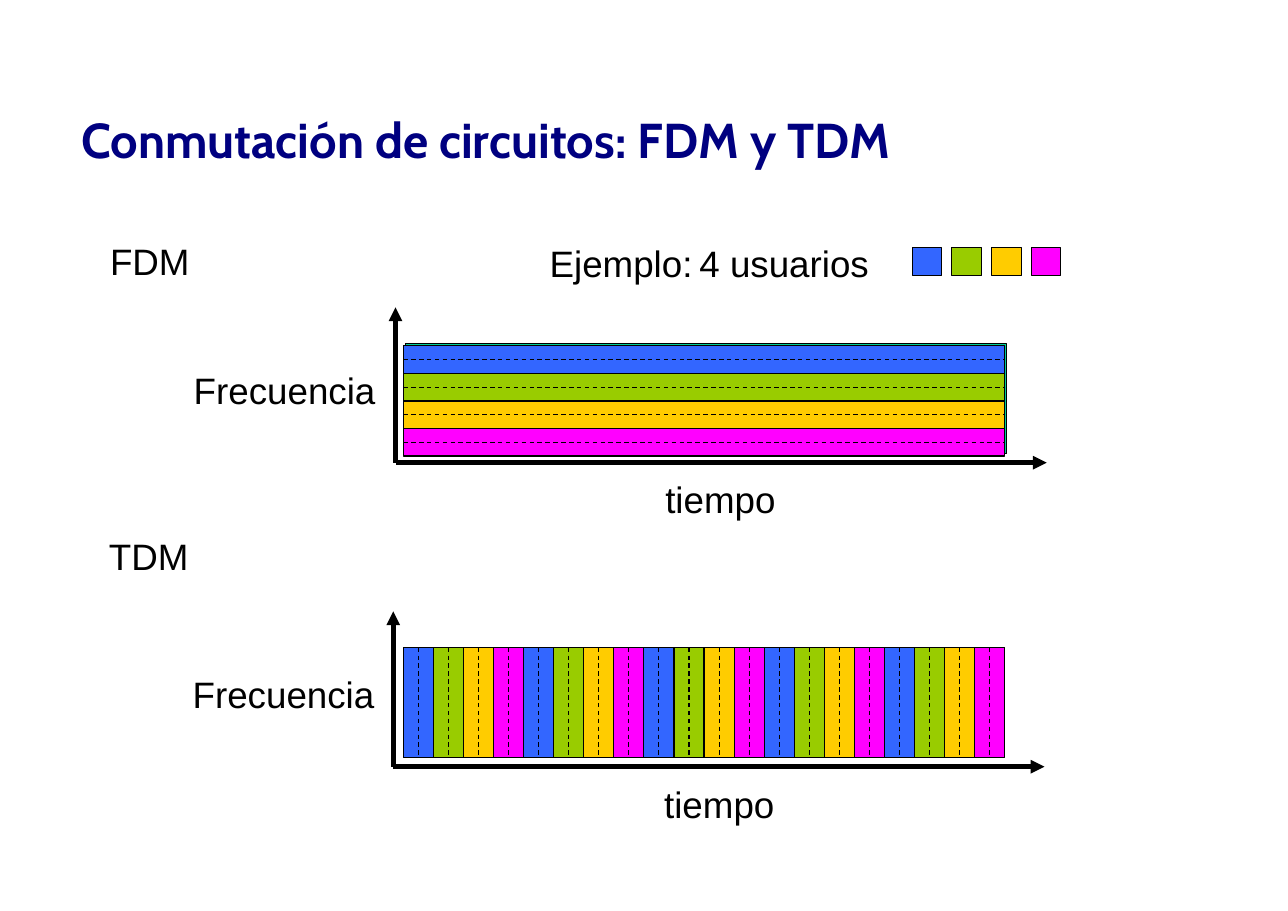
from pptx import Presentation
from pptx.dml.color import RGBColor
from pptx.enum.dml import MSO_LINE
from pptx.enum.shapes import MSO_CONNECTOR, MSO_SHAPE
from pptx.enum.text import MSO_ANCHOR, MSO_AUTO_SIZE
from pptx.util import Inches, Pt
from lxml import etree
from pptx.oxml.ns import qn

BLACK = RGBColor(0x00, 0x00, 0x00)
NAVY = RGBColor(0x00, 0x00, 0x80)
TEAL = RGBColor(0x00, 0xCC, 0x99)
USERS = [
    RGBColor(0x33, 0x66, 0xFF),
    RGBColor(0x99, 0xCC, 0x00),
    RGBColor(0xFF, 0xCC, 0x00),
    RGBColor(0xFF, 0x00, 0xFF),
]

prs = Presentation()
prs.slide_width, prs.slide_height = Inches(11.69), Inches(8.27)
s = prs.slides.add_slide(prs.slide_layouts[6])


def add_rect(x, y, w, h, color):
    sp = s.shapes.add_shape(MSO_SHAPE.RECTANGLE, Inches(x), Inches(y), Inches(w), Inches(h))
    sp.shadow.inherit = False
    sp.fill.solid()
    sp.fill.fore_color.rgb = color
    sp.line.color.rgb = BLACK
    sp.line.width = Pt(0.75)
    return sp


def add_line(x1, y1, x2, y2, width=0.75, arrow=False):
    c = s.shapes.add_connector(MSO_CONNECTOR.STRAIGHT, Inches(x1), Inches(y1), Inches(x2), Inches(y2))
    c.line.color.rgb = BLACK
    c.line.width = Pt(width)
    if arrow:
        etree.SubElement(c.line._get_or_add_ln(), qn("a:tailEnd"), type="triangle")
    etree.SubElement(c._element.spPr, qn("a:effectLst"))
    return c


# Title
tb = s.shapes.add_textbox(Inches(0.64), Inches(0.52), Inches(10.5), Inches(1.48))
tf = tb.text_frame
tf.word_wrap = True
tf.vertical_anchor = MSO_ANCHOR.MIDDLE
p = tf.paragraphs[0]
p.text = "Conmutación de circuitos: FDM y TDM"
p.font.name, p.font.size, p.font.bold = "Cabin", Pt(32), True
p.font.color.rgb = NAVY

# Labels
labels = [
    ("FDM", 0.9, 2.12, 0.92),
    ("Ejemplo:", 4.89, 2.14, 1.55),
    ("4 usuarios", 6.25, 2.14, 1.74),
    ("Frecuencia", 1.66, 3.29, 1.85),
    ("tiempo", 5.94, 4.28, 1.2),
    ("TDM", 0.89, 4.8, 0.92),
    ("Frecuencia", 1.65, 6.05, 1.85),
    ("tiempo", 5.93, 7.05, 1.2),
]
for text, x, y, w in labels:
    tb = s.shapes.add_textbox(Inches(x), Inches(y), Inches(w), Inches(0.47))
    tf = tb.text_frame
    tf.word_wrap = False
    tf.auto_size = MSO_AUTO_SIZE.SHAPE_TO_FIT_TEXT
    p = tf.paragraphs[0]
    p.text = text
    p.font.name, p.font.size = "Arial", Pt(24)
    p.font.color.rgb = BLACK

# Legend: one swatch per user
for i, color in enumerate(USERS):
    add_rect(8.28 + i * 0.36, 2.25, 0.27, 0.25, color)

# Axes
for x, y in [(3.59, 4.2), (3.57, 6.96)]:
    add_line(x, y, x, y - 1.41, 3, arrow=True)
    add_line(x, y, x + 5.91, y, 3, arrow=True)

# Plot areas
LEFT, WIDTH, HEIGHT = 3.66, 5.46, 1
FDM_TOP, TDM_TOP = 3.14, 5.88
add_rect(LEFT + 0.02, FDM_TOP - 0.02, WIDTH, HEIGHT, TEAL)
add_rect(LEFT, TDM_TOP, WIDTH, HEIGHT, TEAL)

# FDM: one frequency band per user
band = HEIGHT / len(USERS)
bands = [add_rect(LEFT, FDM_TOP + i * band, WIDTH, band, color) for i, color in enumerate(USERS)]
for i in range(1, len(bands)):
    y = FDM_TOP + i * band
    add_line(LEFT, y, LEFT + WIDTH, y)

# TDM: users take turns over 20 time slots
SLOTS = 20
slot = WIDTH / SLOTS
slots = [add_rect(LEFT + i * slot, TDM_TOP, slot, HEIGHT, USERS[i % len(USERS)]) for i in range(SLOTS)]
for i in range(1, SLOTS):
    x = LEFT + i * slot
    add_line(x, TDM_TOP, x, TDM_TOP + HEIGHT)

# Dashed centre lines, left to right in bands and top to bottom in slots
for shapes, start, end in [(bands, 1, 3), (slots, 0, 2)]:
    for sp in shapes:
        c = add_line(0, 0, 0, 0)
        c.begin_connect(sp, start)
        c.end_connect(sp, end)
        c.line.dash_style = MSO_LINE.DASH

prs.save("out.pptx")
